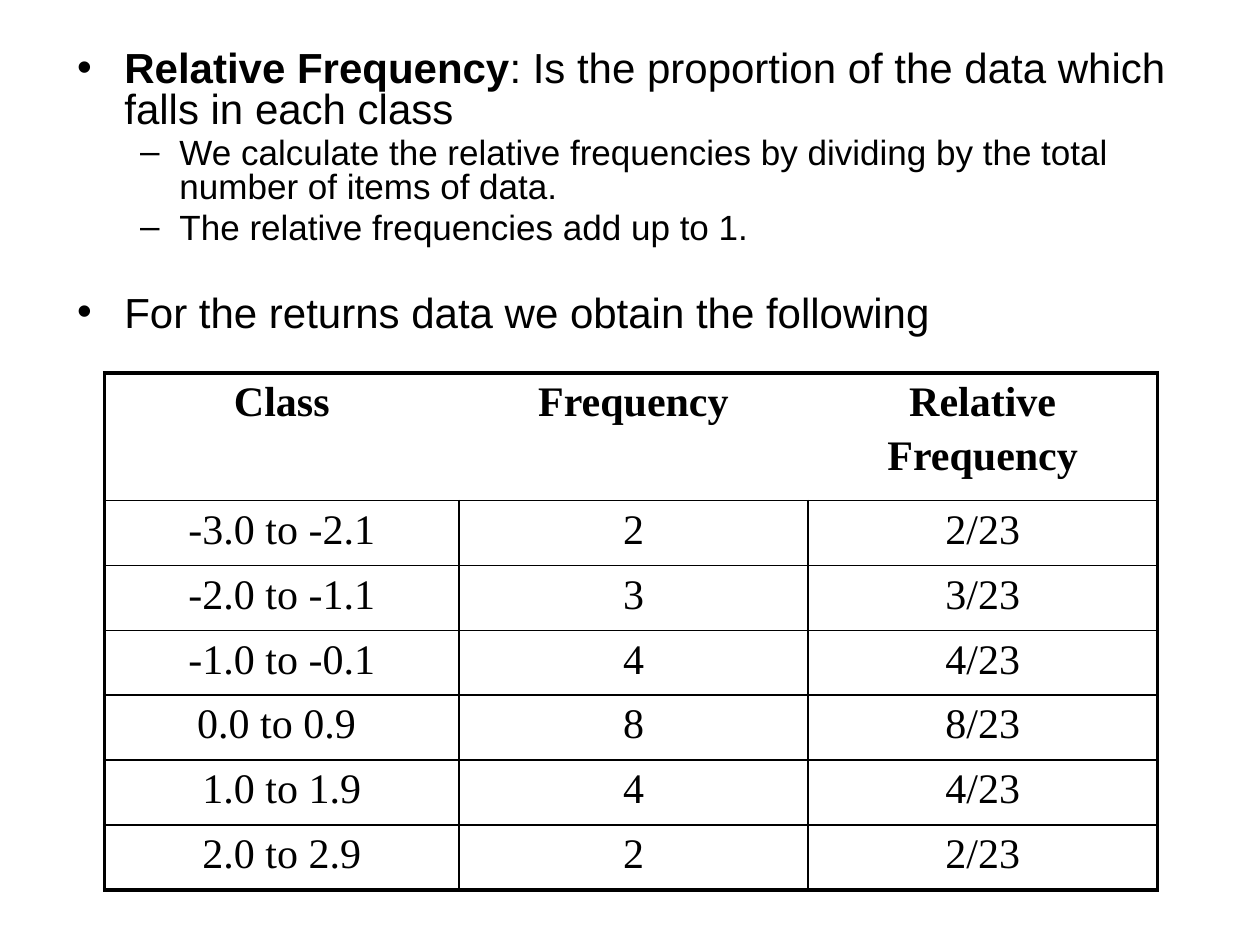
from dataclasses import dataclass
from lxml.etree import SubElement
from pptx import Presentation
from pptx.dml.color import RGBColor
from pptx.enum.text import MSO_AUTO_SIZE, PP_ALIGN
from pptx.oxml.ns import qn
from pptx.util import Cm, Pt


@dataclass(frozen=True)
class Theme:
    ink: str = "000000"
    paper: str = "FFFFFF"
    sans: str = "Arial"
    serif: str = "Times New Roman"
    large: int = 24
    small: int = 20
    thick: float = 2.25
    thin: float = 1


THEME = Theme()

POINTS = [
    (0, [("Relative Frequency", True),
         (": Is the proportion of the data which falls in each class", False)], None),
    (1, [("We calculate the relative frequencies by dividing by the total "
          "number of items of data.", False)], None),
    (1, [("The relative frequencies add up to 1.", False)], None),
    (0, [("For the returns data we obtain the following", False)], 28),
]

HEAD = ["Class", "Frequency", "Relative\nFrequency"]
COUNTS = [
    ("-3.0 to -2.1", 2),
    ("-2.0 to -1.1", 3),
    ("-1.0 to -0.1", 4),
    ("0.0 to 0.9 ", 8),
    ("1.0 to 1.9", 4),
    ("2.0 to 2.9", 2),
]
TOTAL = 23


def write(par, text, font=THEME.sans, size=THEME.large, bold=False,
          align=None, lines=None, before=None):
    run = par.add_run()
    run.text = text
    run.font.name = font
    run.font.size = Pt(size)
    run.font.bold = bold
    run.font.color.rgb = RGBColor.from_string(THEME.ink)
    if align is not None:
        par.alignment = align
    if lines is not None:
        par.line_spacing = lines
    if before is not None:
        par.space_before = Pt(before)


def new_par(frame, index):
    return frame.add_paragraph() if index else frame.paragraphs[0]


def edge(cell, sides):
    props = cell.fill._xPr
    for place, (side, width) in enumerate(sides.items()):
        line = SubElement(props, qn(f"a:ln{side}"), w=str(Pt(width)))
        props.insert(place, line)
        if width:
            fill = SubElement(line, qn("a:solidFill"))
            SubElement(fill, qn("a:srgbClr"), val=THEME.ink)
        else:
            SubElement(line, qn("a:noFill"))


def add_points(slide, left, top, width, height):
    slide.shapes.title.element.getparent().remove(slide.shapes.title.element)
    body = slide.placeholders[1]
    body.left, body.top, body.width, body.height = left, top, width, height
    frame = body.text_frame
    frame.auto_size = MSO_AUTO_SIZE.NONE
    for index, (level, parts, before) in enumerate(POINTS):
        par = new_par(frame, index)
        par.level = level
        size = THEME.small if level else THEME.large
        for text, bold in parts:
            write(par, text, size=size, bold=bold, lines=0.8, before=before)


def add_grid(slide, left, top, width, height):
    rows = [HEAD] + [(name, str(count), f"{count}/{TOTAL}") for name, count in COUNTS]
    last, end = len(rows) - 1, len(HEAD) - 1
    table = slide.shapes.add_table(last + 1, end + 1, left, top, width, height).table
    table.first_row = table.horz_banding = False
    first, other = Cm(7.14), Cm(7.04)
    for index, col in enumerate(table.columns):
        col.width = other if index else first
    head = Cm(2.57)
    for index, row in enumerate(table.rows):
        row.height = (height - head) // last if index else head
    for r, row in enumerate(rows):
        inner = THEME.thin if r else 0
        for c, text in enumerate(row):
            cell = table.cell(r, c)
            cell.fill.solid()
            cell.fill.fore_color.rgb = RGBColor.from_string(THEME.paper)
            edge(cell, {
                "L": inner if c else THEME.thick,
                "R": inner if c < end else THEME.thick,
                "T": THEME.thin if r else THEME.thick,
                "B": THEME.thin if r < last else THEME.thick,
            })
            for index, line in enumerate(text.split("\n")):
                write(new_par(cell.text_frame, index), line, font=THEME.serif,
                      bold=r == 0, align=PP_ALIGN.CENTER, before=4)


def main():
    deck = Presentation()
    deck.slide_width, deck.slide_height = Cm(25.4), Cm(19.05)
    slide = deck.slides.add_slide(deck.slide_layouts[1])
    add_points(slide, Cm(1.3), Cm(0.91), Cm(22.86), Cm(6.48))
    add_grid(slide, Cm(2.11), Cm(7.52), Cm(21.22), Cm(10.42))
    deck.save("out.pptx")


if __name__ == "__main__":
    main()
